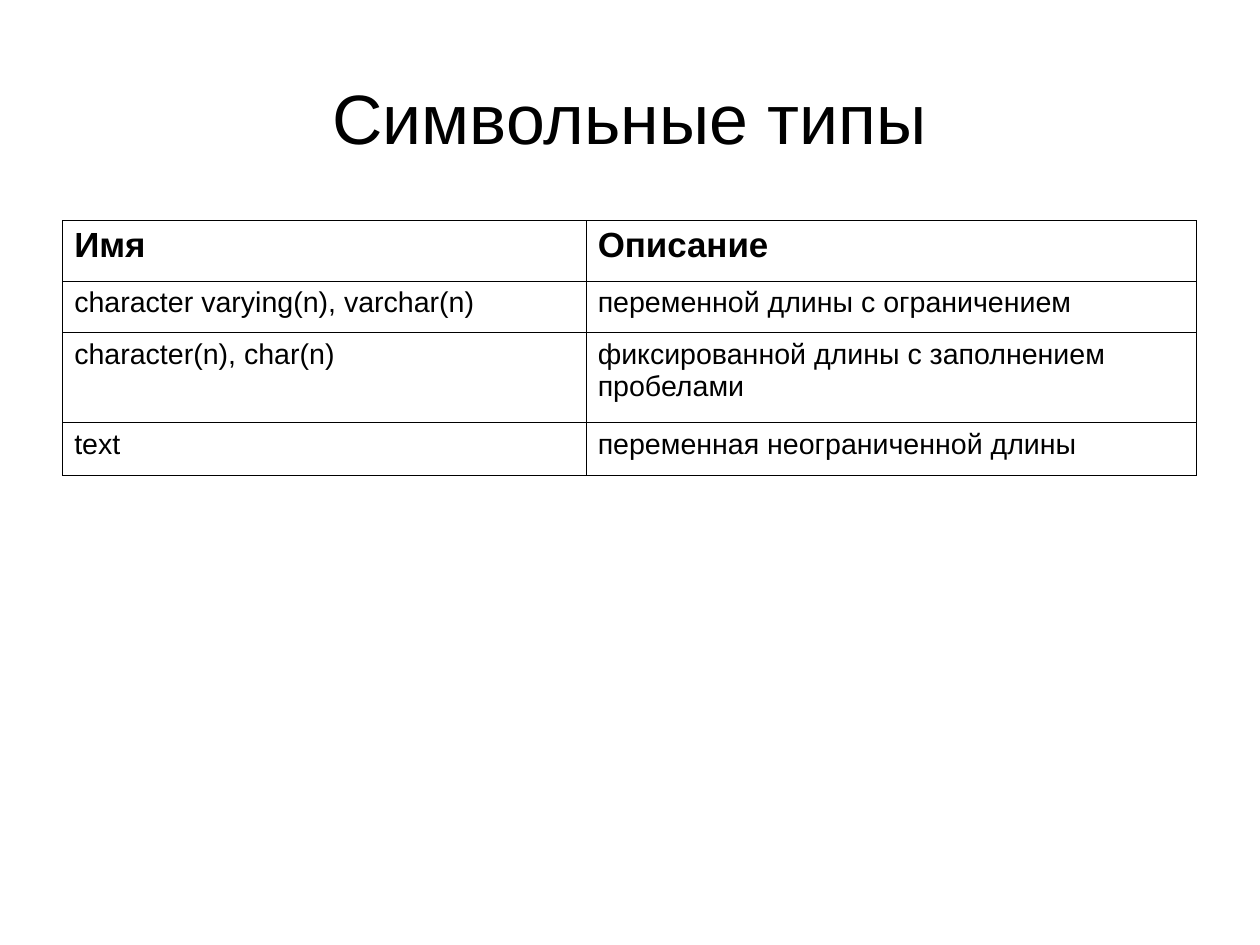
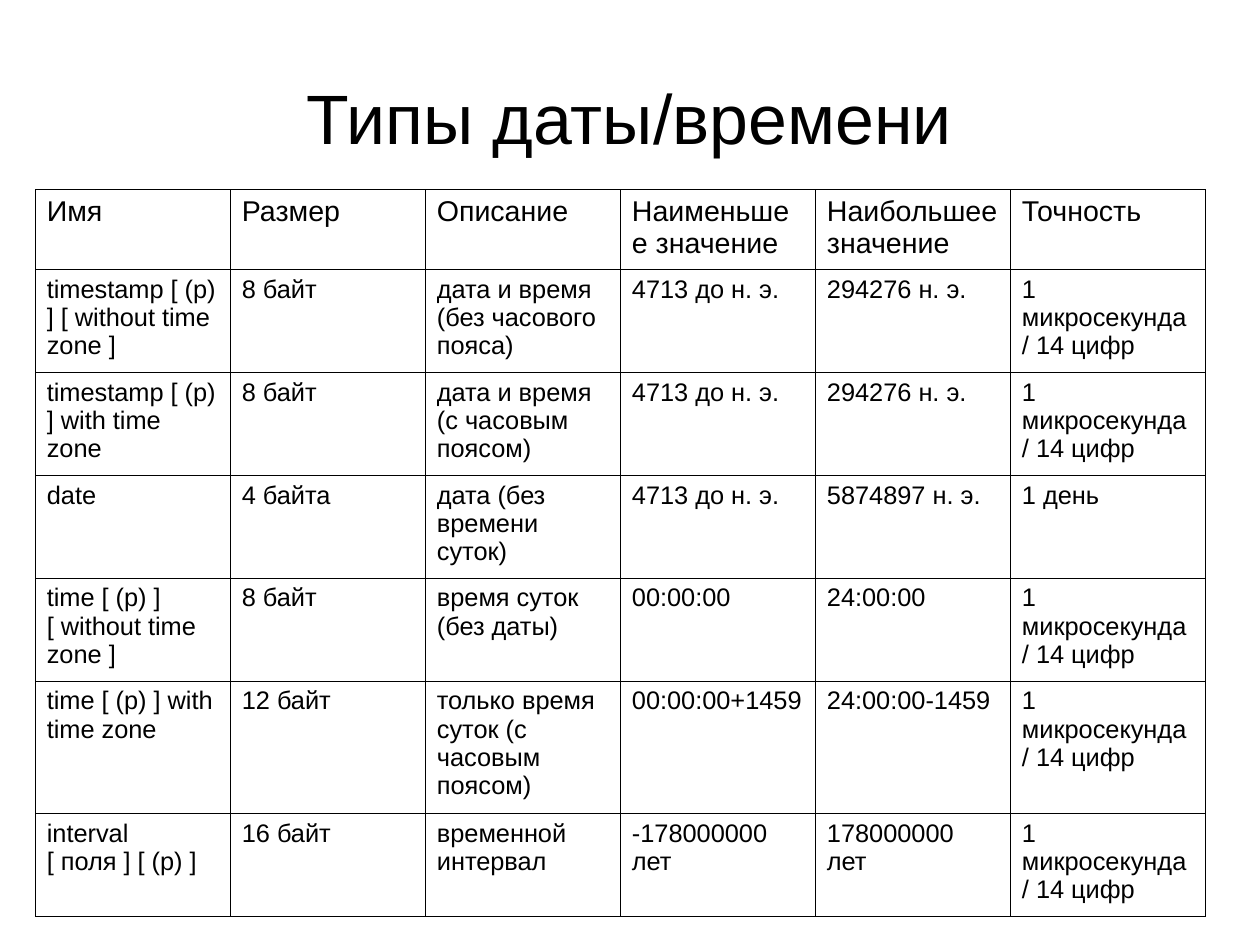
from lxml import etree
from pptx import Presentation
from pptx.dml.color import RGBColor
from pptx.enum.text import MSO_ANCHOR, MSO_AUTO_SIZE, PP_ALIGN
from pptx.oxml.ns import qn
from pptx.util import Inches, Pt

CENTER = PP_ALIGN.CENTER
MIDDLE = MSO_ANCHOR.MIDDLE
NO_AUTOFIT = MSO_AUTO_SIZE.NONE
BLACK = RGBColor(0x00, 0x00, 0x00)
WHITE = RGBColor(0xFF, 0xFF, 0xFF)
FONT = "Arial"
TITLE_ONLY = 5
CM_PER_INCH = 2.54
BORDER_WIDTH = Pt(0.57)
BORDER_SIDES = ("a:lnL", "a:lnR", "a:lnT", "a:lnB")

TITLE_BOX = {"left": Inches(0.55), "top": Inches(0.33),
             "width": Inches(9.92), "height": Inches(1.38)}
TITLE_FRAME = {"margin_left": 0, "margin_right": 0, "margin_top": 0,
               "margin_bottom": 0, "vertical_anchor": MIDDLE,
               "word_wrap": True, "auto_size": NO_AUTOFIT}
CELL_MARGINS = {"margin_left": Inches(0.1), "margin_right": Inches(0.1),
                "margin_top": Inches(0.05), "margin_bottom": Inches(0.05)}

MICROSECOND = "1 микросекунда / 14 цифр"
MIN_DATE = "4713 до н. э."
MAX_TIMESTAMP = "294276 н. э."

CHARACTER_ROWS = [
    ("Имя", "Описание"),
    ("character varying(n), varchar(n)", "переменной длины с ограничением"),
    ("character(n), char(n)", "фиксированной длины с заполнением пробелами"),
    ("text", "переменная неограниченной длины"),
]
DATETIME_ROWS = [
    ("Имя", "Размер", "Описание", "Наименьшее значение",
     "Наибольшее значение", "Точность"),
    ("timestamp [ (p) ] [ without time zone ]", "8 байт",
     "дата и время (без часового пояса)", MIN_DATE, MAX_TIMESTAMP, MICROSECOND),
    ("timestamp [ (p) ] with time zone", "8 байт",
     "дата и время (с часовым поясом)", MIN_DATE, MAX_TIMESTAMP, MICROSECOND),
    ("date", "4 байта", "дата (без времени суток)", MIN_DATE,
     "5874897 н. э.", "1 день"),
    ("time [ (p) ] [ without time zone ]", "8 байт",
     "время суток (без даты)", "00:00:00", "24:00:00", MICROSECOND),
    ("time [ (p) ] with time zone", "12 байт",
     "только время суток (с часовым поясом)", "00:00:00+1459",
     "24:00:00-1459", MICROSECOND),
    ("interval [ поля ] [ (p) ]", "16 байт", "временной интервал",
     "-178000000 лет", "178000000 лет", MICROSECOND),
]


def apply_format(target, values):
    """Set each named attribute of the target."""
    for name, value in values.items():
        setattr(target, name, value)


def format_font(font, size, bold=False):
    """Give a font the shared face and colour."""
    apply_format(font, {"name": FONT, "size": Pt(size), "bold": bold})
    font.color.rgb = BLACK


def add_titled_slide(prs, title_text):
    """Add a white slide with a centred title."""
    slide = prs.slides.add_slide(prs.slide_layouts[TITLE_ONLY])
    slide.background.fill.solid()
    slide.background.fill.fore_color.rgb = WHITE
    title = slide.shapes.title
    apply_format(title, TITLE_BOX)
    apply_format(title.text_frame, TITLE_FRAME)
    title.text_frame.text = title_text
    paragraph = title.text_frame.paragraphs[0]
    paragraph.alignment = CENTER
    format_font(paragraph.runs[0].font, 44)
    return slide


def add_borders(cell):
    """Draw a thin black line on every side of a cell."""
    properties = cell._tc.get_or_add_tcPr()
    for side in BORDER_SIDES:
        line = etree.SubElement(properties, qn(side), w=str(int(BORDER_WIDTH)))
        fill = etree.SubElement(line, qn("a:solidFill"))
        etree.SubElement(fill, qn("a:srgbClr"), val=str(BLACK))


def fill_cell(cell, text, size, bold):
    """Write and format one table cell."""
    apply_format(cell, CELL_MARGINS)
    add_borders(cell)
    cell.fill.background()
    cell.text = text
    format_font(cell.text_frame.paragraphs[0].runs[0].font, size, bold)


def add_grid(slide, left, top, widths, heights, rows, header_font, body_size):
    """Add a bordered table whose first row is the header."""
    table = slide.shapes.add_table(
        len(rows), len(widths), Inches(left), Inches(top),
        Inches(sum(widths)), Inches(sum(heights))).table
    apply_format(table, {"first_row": False, "horz_banding": False})
    for column, width in zip(table.columns, widths):
        column.width = Inches(width)
    for row, height in zip(table.rows, heights):
        row.height = Inches(height)
    for row_index, texts in enumerate(rows):
        size, bold = (body_size, False) if row_index else header_font
        for column_index, text in enumerate(texts):
            fill_cell(table.cell(row_index, column_index), text, size, bold)


def main():
    """Build and save the two slides on data types."""
    prs = Presentation()
    prs.slide_width = Inches(28 / CM_PER_INCH)
    prs.slide_height = Inches(21 / CM_PER_INCH)

    character_slide = add_titled_slide(prs, "Символьные типы")
    add_grid(character_slide, 0.55, 1.93, [4.58, 5.34],
             [0.53, 0.45, 0.79, 0.46], CHARACTER_ROWS, (22, True), 18)

    datetime_slide = add_titled_slide(prs, "Типы даты/времени")
    add_grid(datetime_slide, 0.31, 1.66, [10.24 / 6] * 6,
             [0.7] + [0.9] * 4 + [1.16, 0.9], DATETIME_ROWS, (18, False), 16)

    prs.save("out.pptx")


if __name__ == "__main__":
    main()
